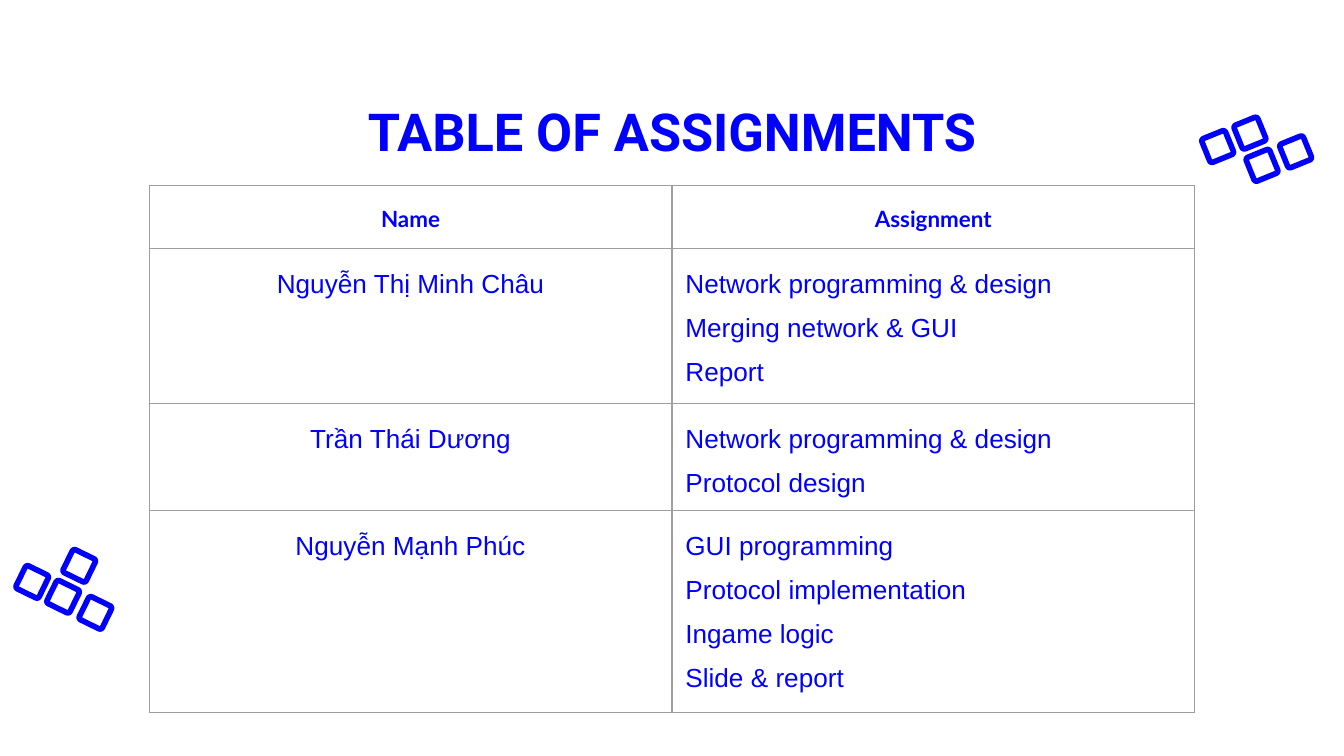
"""Build the table of assignments slide."""
from lxml import etree
from pptx import Presentation
from pptx.dml.color import RGBColor
from pptx.enum.shapes import MSO_SHAPE
from pptx.enum.text import MSO_ANCHOR, PP_ALIGN
from pptx.oxml.ns import qn
from pptx.util import Inches, Pt

ROUNDED = MSO_SHAPE.ROUNDED_RECTANGLE
TOP = MSO_ANCHOR.TOP
CENTER, LEFT = PP_ALIGN.CENTER, PP_ALIGN.LEFT
BLUE, GREY = "0000FE", "9E9E9E"


def color(value):
    return RGBColor.from_string(value)


def add_text(p, text, font, size, bold, align):
    p.alignment = align
    r = p.add_run()
    r.text = text
    r.font.name, r.font.size, r.font.bold = font, Pt(size), bold
    r.font.color.rgb = color(BLUE)


prs = Presentation()
prs.slide_width = W = Inches(10)
prs.slide_height = W * 9 // 16
s = prs.slides.add_slide(prs.slide_layouts[6])

clusters = [
    (26.1, [(0.59, 4.21), (0.47, 4.44), (0.71, 4.56), (0.24, 4.33)]),
    (-22.1, [(9.3, 0.99), (9.39, 1.23), (9.64, 1.13), (9.06, 1.09)]),
]
side = Inches(0.19)
for angle, centers in clusters:
    for x, y in centers:
        sp = s.shapes.add_shape(ROUNDED, Inches(x) - side // 2, Inches(y) - side // 2, side, side)
        sp.adjustments[0] = 0.1
        sp.rotation = angle
        sp.shadow.inherit = False
        sp.fill.background()
        sp.line.color.rgb = color(BLUE)
        sp.line.width = Pt(3)

title_w = Inches(8.44)
tf = s.shapes.add_textbox((W - title_w) // 2, Inches(0.64), title_w, Inches(0.63)).text_frame
tf.word_wrap = True
tf.vertical_anchor = TOP
tf.margin_left = tf.margin_right = tf.margin_top = tf.margin_bottom = Inches(0.1)
add_text(tf.paragraphs[0], "TABLE OF ASSIGNMENTS", "Roboto", 28, True, CENTER)

rows = [
    (0.47, "Name", ["Assignment"]),
    (1.13, "Nguyễn Thị Minh Châu",
     ["Network programming & design", "Merging network & GUI", "Report"]),
    (0.78, "Trần Thái Dương", ["Network programming & design", "Protocol design"]),
    (1.13, "Nguyễn Mạnh Phúc",
     ["GUI programming", "Protocol implementation", "Ingame logic", "Slide & report"]),
]
table_w, table_h = Inches(7.78), Inches(3.84)
frame = s.shapes.add_table(len(rows), 2, Inches(1.11), Inches(1.38), table_w, table_h)
table = frame.table
table.first_row = table.horz_banding = False
for column in table.columns:
    column.width = table_w // 2

for i, (height, name, tasks) in enumerate(rows):
    table.rows[i].height = Inches(height)
    header = i == 0
    font, size = ("Lato", 12) if header else ("Arial", 14)
    for j, lines in enumerate([[name], tasks]):
        cell = table.cell(i, j)
        align = CENTER if header or j == 0 else LEFT
        tf = cell.text_frame
        for k, line in enumerate(lines):
            p = tf.add_paragraph() if k else tf.paragraphs[0]
            p.line_spacing = 1.5
            add_text(p, line, font, size, header, align)
        tcPr = cell._tc.get_or_add_tcPr()
        for edge in ("a:lnL", "a:lnR", "a:lnT", "a:lnB"):
            ln = etree.SubElement(tcPr, qn(edge), w=str(Pt(0.75)))
            fill = etree.SubElement(ln, qn("a:solidFill"))
            etree.SubElement(fill, qn("a:srgbClr"), val=GREY)
        cell.fill.background()
frame.height = table_h

prs.save("out.pptx")
